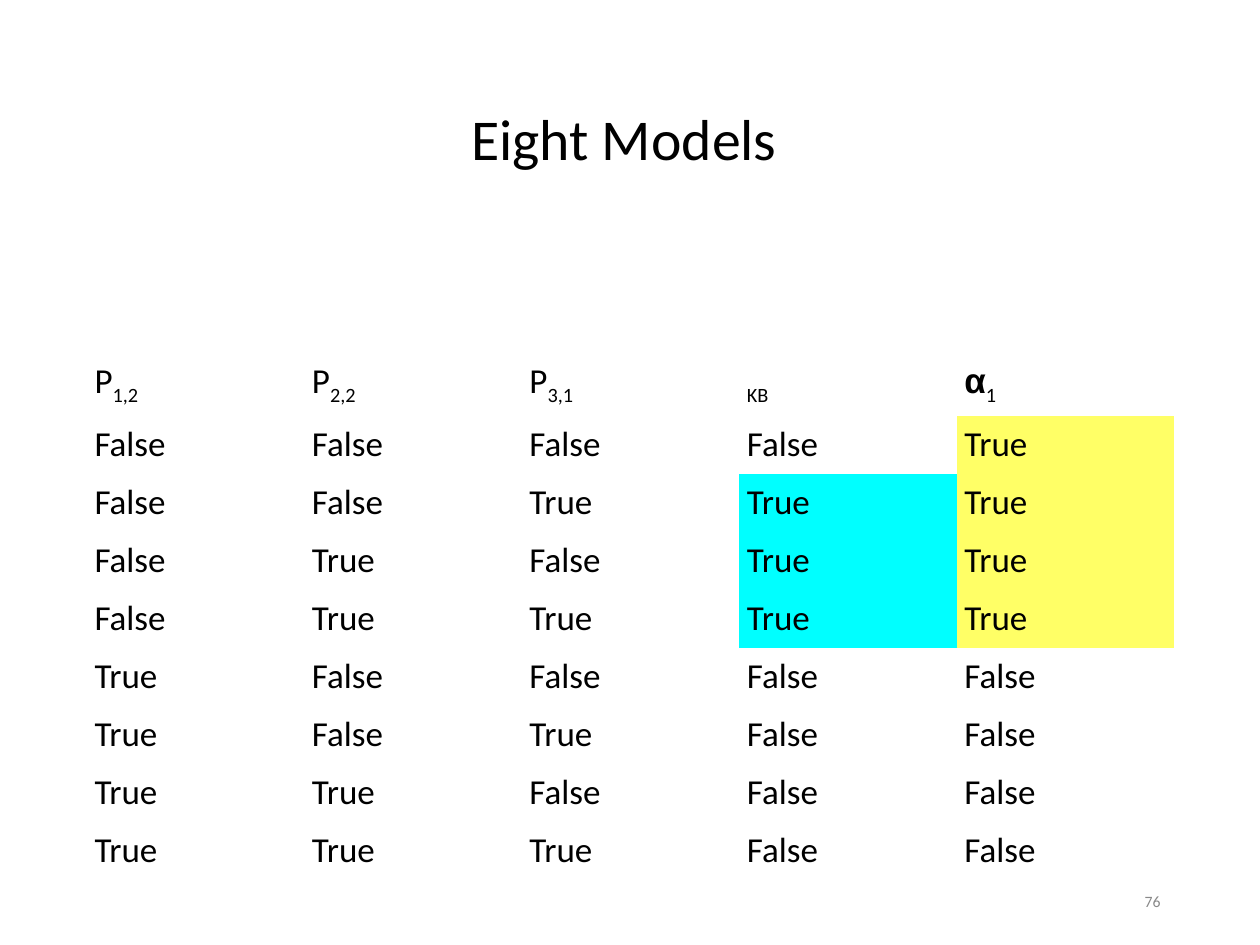
from dataclasses import dataclass
from itertools import product

from pptx import Presentation
from pptx.dml.color import RGBColor
from pptx.enum.text import MSO_ANCHOR, PP_ALIGN
from pptx.util import Inches, Pt


@dataclass(frozen=True)
class Theme:
    font: str = "Calibri"
    greek_font: str = "Arial"
    text: RGBColor = RGBColor(0x00, 0x00, 0x00)
    muted: RGBColor = RGBColor(0x89, 0x89, 0x89)
    kb_true: RGBColor = RGBColor(0x00, 0xFF, 0xFF)
    alpha_true: RGBColor = RGBColor(0xFF, 0xFF, 0x66)
    title_size: Pt = Pt(33)
    table_size: Pt = Pt(20)
    number_size: Pt = Pt(9)


THEME = Theme()
NO_STYLE_NO_GRID = "{2D5ABB26-0587-4C30-8999-92F81FD0307C}"
HEADER_HEIGHT, ROW_HEIGHT = Inches(0.5), Inches(0.46)
# Each header is a base symbol and its subscript.
HEADERS = [("P", "1,2"), ("P", "2,2"), ("P", "3,1"), ("", "KB"), ("α", "1")]
HIGHLIGHTS = {3: THEME.kb_true, 4: THEME.alpha_true}


def style(p, size, color):
    p.font.name = THEME.font
    p.font.size = size
    p.font.color.rgb = color


def add_text(slide, box, text, size, color, align):
    tf = slide.shapes.add_textbox(*box).text_frame
    tf.word_wrap = True
    tf.vertical_anchor = MSO_ANCHOR.MIDDLE
    p = tf.paragraphs[0]
    p.alignment = align
    style(p, size, color)
    p.add_run().text = text
    return p


def models():
    """Yield P1,2, P2,2, P3,1, KB and α1 for every assignment."""
    for p12, p22, p31 in product((False, True), repeat=3):
        yield p12, p22, p31, not p12 and (p22 or p31), not p12


def prepare_cell(cell):
    """Set margins, anchor and font; return the cell's paragraph."""
    cell.margin_left = cell.margin_right = Inches(0.06)
    cell.margin_top = cell.margin_bottom = Inches(0.05)
    cell.vertical_anchor = MSO_ANCHOR.MIDDLE
    cell.fill.background()
    p = cell.text_frame.paragraphs[0]
    style(p, THEME.table_size, THEME.text)
    return p


def write_header(cell, symbol, subscript):
    p = prepare_cell(cell)
    if symbol:
        r = p.add_run()
        r.text = symbol
        if symbol == "α":
            r.font.name = THEME.greek_font
            r.font.bold = True
    r = p.add_run()
    r.text = subscript
    r.font._element.set("baseline", "-25000")


def add_truth_table(slide, box):
    rows = list(models())
    table = slide.shapes.add_table(len(rows) + 1, len(HEADERS), *box).table
    table.first_row = table.horz_banding = False
    table._tbl.tblPr[0].text = NO_STYLE_NO_GRID

    for column in table.columns:
        column.width = box[2] // len(HEADERS)
    for i, row in enumerate(table.rows):
        row.height = ROW_HEIGHT if i else HEADER_HEIGHT

    for col, header in enumerate(HEADERS):
        write_header(table.cell(0, col), *header)
    for i, values in enumerate(rows, start=1):
        for col, value in enumerate(values):
            cell = table.cell(i, col)
            prepare_cell(cell).add_run().text = str(value)
            if value and col in HIGHLIGHTS:
                cell.fill.solid()
                cell.fill.fore_color.rgb = HIGHLIGHTS[col]


def main():
    prs = Presentation()
    prs.slide_width, prs.slide_height = Inches(10), Inches(7.5)
    slide = prs.slides.add_slide(prs.slide_layouts[6])

    left, width = Inches(0.69), Inches(8.63)
    title = add_text(slide, (left, Inches(0.4), width, Inches(1.45)),
                     "Eight Models ", THEME.title_size, THEME.text, PP_ALIGN.CENTER)
    title.line_spacing = 0.9
    table_height = HEADER_HEIGHT + 8 * ROW_HEIGHT
    add_truth_table(slide, (left, Inches(2.8), width, table_height))
    add_text(slide, (Inches(7.06), Inches(6.95), Inches(2.25), Inches(0.4)),
             "76", THEME.number_size, THEME.muted, PP_ALIGN.RIGHT)
    prs.save("out.pptx")


if __name__ == "__main__":
    main()
